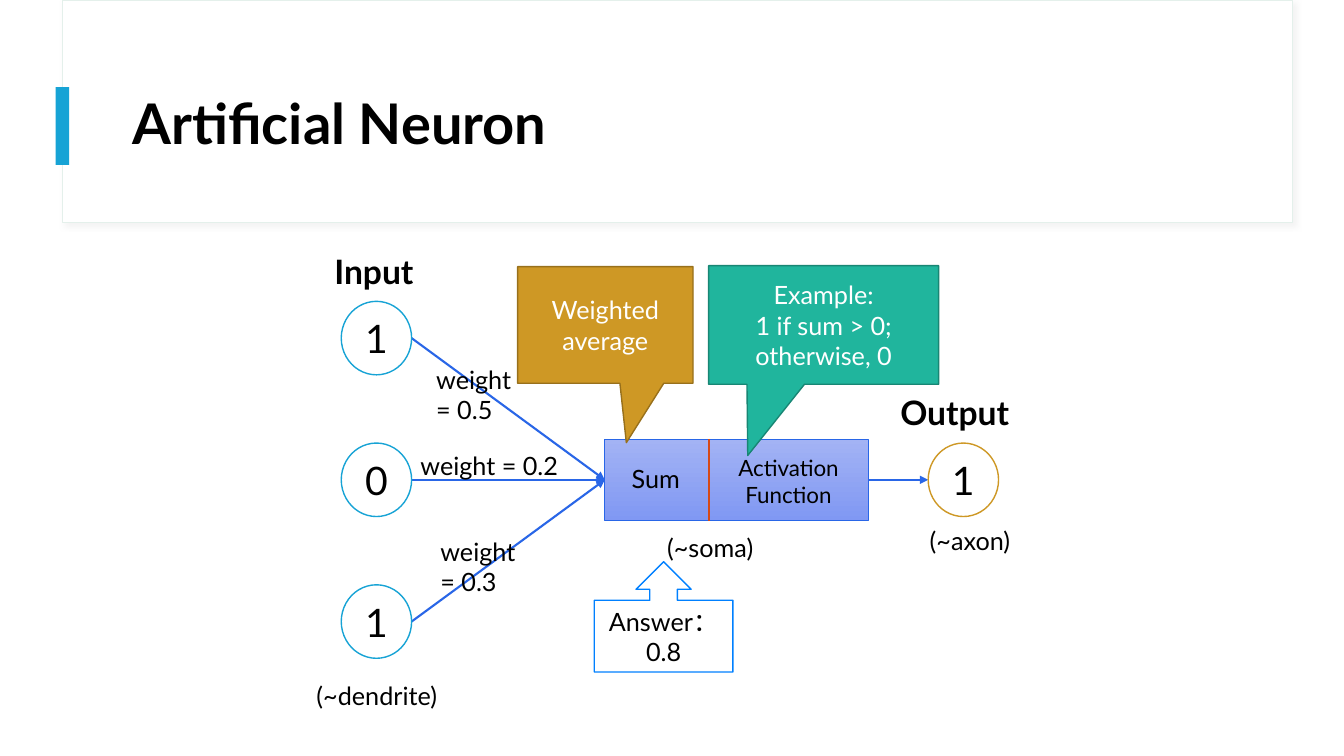
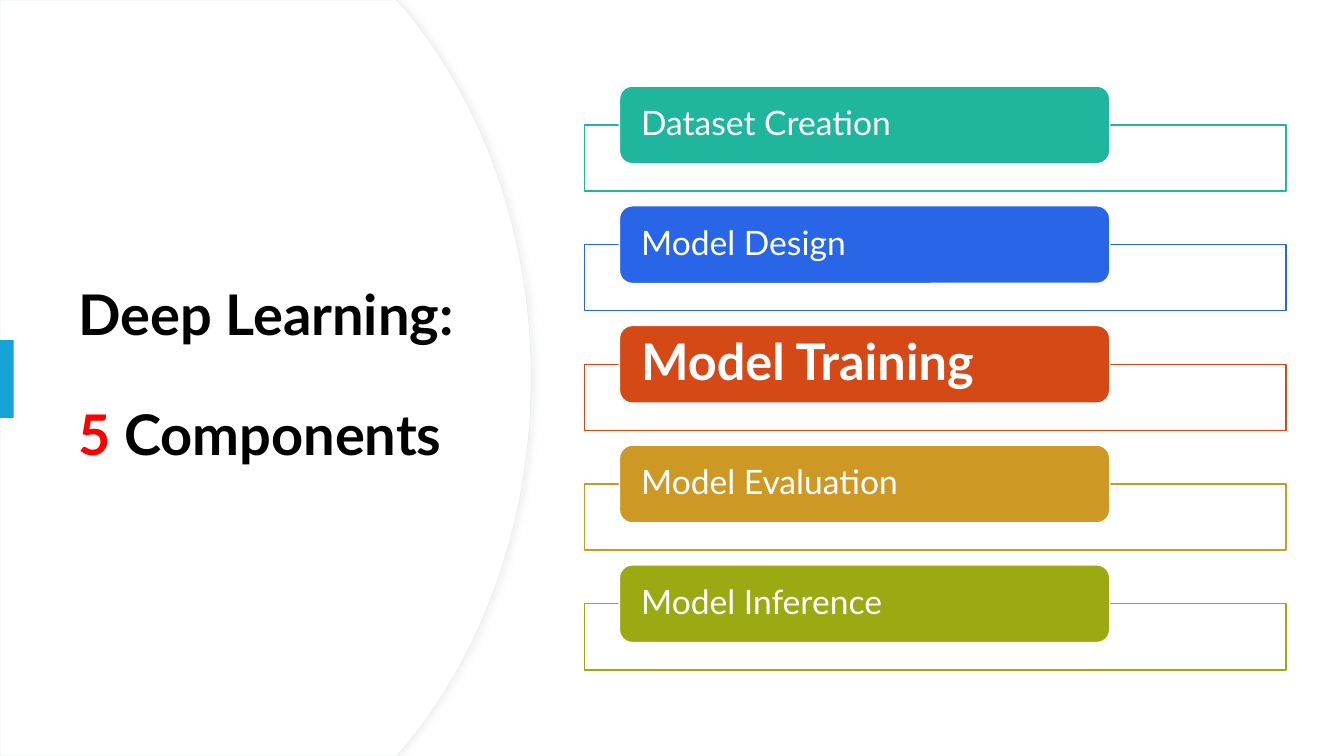
from lxml import etree
from pptx import Presentation
from pptx.dml.color import RGBColor
from pptx.enum.shapes import MSO_CONNECTOR, MSO_SHAPE
from pptx.enum.text import MSO_ANCHOR, PP_ALIGN
from pptx.oxml.ns import qn
from pptx.util import Emu, Pt

PX = 9525
FONT = "Lato"
RECT, PILL, OVAL = MSO_SHAPE.RECTANGLE, MSO_SHAPE.ROUNDED_RECTANGLE, MSO_SHAPE.OVAL
WEDGE, UP_CALLOUT = MSO_SHAPE.RECTANGULAR_CALLOUT, MSO_SHAPE.UP_ARROW_CALLOUT
STRAIGHT = MSO_CONNECTOR.STRAIGHT
LEFT, CENTER = PP_ALIGN.LEFT, PP_ALIGN.CENTER
TOP, MIDDLE = MSO_ANCHOR.TOP, MSO_ANCHOR.MIDDLE

BLACK, WHITE, RED = "000000", "FFFFFF", "FF0000"
CYAN, BLUE, TEAL = "17A3D5", "2966E7", "20B59D"
ORANGE, GOLD, OLIVE = "D54917", "CE9825", "9BA912"
HAIRLINE, SHADOW = "E4F0EB", "D9D9D9"

NODE_W, NODE_H = 67, 70
INPUT_X, INPUT_Y, INPUT_PITCH = 325, 287, 135
INPUTS = ["1", "0", "1"]
OUTPUT_X, OUTPUT = 884, "1"
SOMA = (576, 418, 251, 78)
DIVIDER_X = 675

LABELS = [
    ("Sum", (589, 437, 71, 38), dict(align=CENTER)),
    ("Activation Function", (675, 428, 152, 61), dict(align=CENTER, size=16)),
    ("Output", (848, 369, 140, 48), dict(size=24, bold=True)),
    ("Input", (309, 234, 101, 48), dict(size=24, bold=True, wrap=False)),
    ("(~dendrite)", (292, 643, 139, 38), {}),
    ("(~axon)", (876, 496, 102, 38), dict(wrap=False)),
    ("(~soma)", (626, 502, 108, 38), dict(wrap=False)),
]
WEIGHTS = [
    ("weight = 0.5", (406, 342, 108, 68), {}),
    ("weight = 0.2", (391, 424, 156, 38), dict(wrap=False)),
    ("weight = 0.3", (410, 506, 101, 68), {}),
]
CALLOUTS = [
    (["Example:", "1 if sum > 0; otherwise, 0"], WEDGE, (675, 253, 219, 113),
     TEAL, "188674", WHITE, (-0.33, 1.1)),
    (["Weighted average"], WEDGE, (493, 254, 167, 111),
     GOLD, "98701B", WHITE, (0.12, 1.01)),
    (["Answer： 0.8"], UP_CALLOUT, (566, 535, 132, 105),
     WHITE, "0080FF", BLACK, ()),
]
COMPONENTS = [
    ("Dataset Creation", TEAL, {}),
    ("Model Design", BLUE, {}),
    ("Model Training", ORANGE, dict(size=36, bold=True)),
    ("Model Evaluation", GOLD, {}),
    ("Model Inference", OLIVE, {}),
]
COMPONENT_PITCH = 114


def rgb(value):
    return RGBColor.from_string(value)


def box(rect):
    return [Emu(v * PX) for v in rect]


def write(shape, paragraphs, size=18, color=BLACK, bold=False, align=LEFT,
          anchor=TOP, wrap=True, inset=None, spacing=None, before=0):
    frame = shape.text_frame
    frame.word_wrap = wrap
    frame.vertical_anchor = anchor
    if inset is not None:
        frame.margin_left = frame.margin_right = Emu(inset * PX)
        frame.margin_top = frame.margin_bottom = 0
    for index, content in enumerate(paragraphs):
        paragraph = frame.add_paragraph() if index else frame.paragraphs[0]
        paragraph.alignment = align
        if spacing:
            paragraph.line_spacing = spacing
        if index and before:
            paragraph.space_before = Pt(before)
        runs = [(content, color)] if isinstance(content, str) else content
        for text, run_color in runs:
            run = paragraph.add_run()
            run.text = text
            run.font.name = FONT
            run.font.size = Pt(size)
            run.font.bold = bold
            run.font.color.rgb = rgb(run_color)


def paint(shape, fill, line=None, width=1):
    shape.shadow.inherit = False
    shape.fill.solid()
    shape.fill.fore_color.rgb = rgb(fill)
    if line:
        shape.line.color.rgb = rgb(line)
        shape.line.width = Pt(width)
    else:
        shape.line.fill.background()
    return shape


def draw(slide, kind, rect, fill, line=None):
    return paint(slide.shapes.add_shape(kind, *box(rect)), fill, line)


def label(slide, text, rect, **style):
    write(slide.shapes.add_textbox(*box(rect)), [text], **style)


def soft_shadow(shape, angle):
    effects = shape._element.spPr.find(qn("a:effectLst"))
    outer = etree.SubElement(effects, qn("a:outerShdw"), blurRad="50800",
                             dist="38100", dir=str(angle * 60000), algn="tl")
    tint = etree.SubElement(outer, qn("a:srgbClr"), val=SHADOW)
    etree.SubElement(tint, qn("a:alpha"), val="30000")


def connect(slide, start, end, color=BLUE, arrow=True):
    link = slide.shapes.add_connector(STRAIGHT, *box(start + end))
    link.line.color.rgb = rgb(color)
    link.line.width = Pt(1.5)
    if arrow:
        etree.SubElement(link.line._get_or_add_ln(), qn("a:tailEnd"), type="triangle")
    etree.SubElement(link._element.spPr, qn("a:effectLst"))


def heading(slide, paragraphs, rect, accent_at):
    draw(slide, RECT, accent_at + (13, 74), CYAN)
    title = slide.shapes.add_textbox(*box(rect))
    write(title, paragraphs, size=40, bold=True, anchor=MIDDLE, spacing=0.9, before=43)


def node(slide, text, left, top, line):
    circle = draw(slide, OVAL, (left, top, NODE_W, NODE_H), WHITE, line)
    write(circle, [text], size=28, align=CENTER, anchor=MIDDLE)


def build_neuron(slide):
    band = draw(slide, RECT, (59, 0, 1172, 212), WHITE, HAIRLINE)
    band.line.width = Pt(0.5)
    soft_shadow(band, 45)
    heading(slide, ["Artificial Neuron"], (117, 58, 1068, 124), (53, 83))

    left, top, width, height = SOMA
    axis = top + height // 2
    soma = draw(slide, RECT, SOMA, WHITE, BLUE)
    soma.line.width = Pt(0.5)
    soma.fill.gradient()
    soma.fill.gradient_angle = 270
    for stop, color in zip(soma.fill.gradient_stops, ("A3B3F4", "8098F3")):
        stop.color.rgb = rgb(color)

    input_tops = [INPUT_Y + i * INPUT_PITCH for i in range(len(INPUTS))]
    connect(slide, (left + width, axis), (OUTPUT_X, axis))
    for input_top in input_tops:
        connect(slide, (INPUT_X + NODE_W, input_top + NODE_H // 2), (left, axis))
    connect(slide, (DIVIDER_X, top), (DIVIDER_X, top + height), ORANGE, arrow=False)

    for text, rect, style in LABELS:
        label(slide, text, rect, **style)
    for lines, kind, rect, fill, line, color, pointer in CALLOUTS:
        callout = draw(slide, kind, rect, fill, line)
        for index, value in enumerate(pointer):
            callout.adjustments[index] = value
        write(callout, lines, color=color, align=CENTER, anchor=MIDDLE)
    for text, input_top in zip(INPUTS, input_tops):
        node(slide, text, INPUT_X, input_top, CYAN)
    node(slide, OUTPUT, OUTPUT_X, axis - NODE_H // 2, GOLD)
    for text, rect, style in WEIGHTS:
        label(slide, text, rect, **style)


def bezier(points, steps=30):
    a, b, c, d = points
    for i in range(1, steps + 1):
        t = i / steps
        u = 1 - t
        yield tuple(u**3 * p + 3 * u * u * t * q + 3 * u * t * t * r + t**3 * s
                    for p, q, r, s in zip(a, b, c, d))


def build_components(slide):
    upper = [(378, 0), (385, 8)]
    upper += bezier([(385, 8), (460, 98), (506, 223), (506, 360)])
    lower = [(x, 720 - y) for x, y in reversed(upper[:-1])]
    outline = [(x * PX, y * PX) for x, y in upper + lower + [(0, 720)]]
    builder = slide.shapes.build_freeform(0, 0)
    builder.add_line_segments(outline, close=True)
    dome = paint(builder.convert_to_shape(), WHITE, HAIRLINE, 0.5)
    soft_shadow(dome, 0)

    heading(slide, ["Deep Learning:", [("5 ", RED), ("Components", BLACK)]],
            (65, 122, 378, 475), (0, 324))
    for index, (text, color, style) in enumerate(COMPONENTS):
        offset = index * COMPONENT_PITCH
        draw(slide, RECT, (557, 119 + offset, 668, 63), WHITE, color)
        pill = draw(slide, PILL, (590, 82 + offset, 467, 74), color, WHITE)
        write(pill, [text], **{"size": 24, **style}, color=WHITE,
              anchor=MIDDLE, inset=17, spacing=0.9)


def main():
    deck = Presentation()
    deck.slide_width, deck.slide_height = box((1280, 720))
    for build in (build_neuron, build_components):
        build(deck.slides.add_slide(deck.slide_layouts[6]))
    deck.save("out.pptx")


if __name__ == "__main__":
    main()
